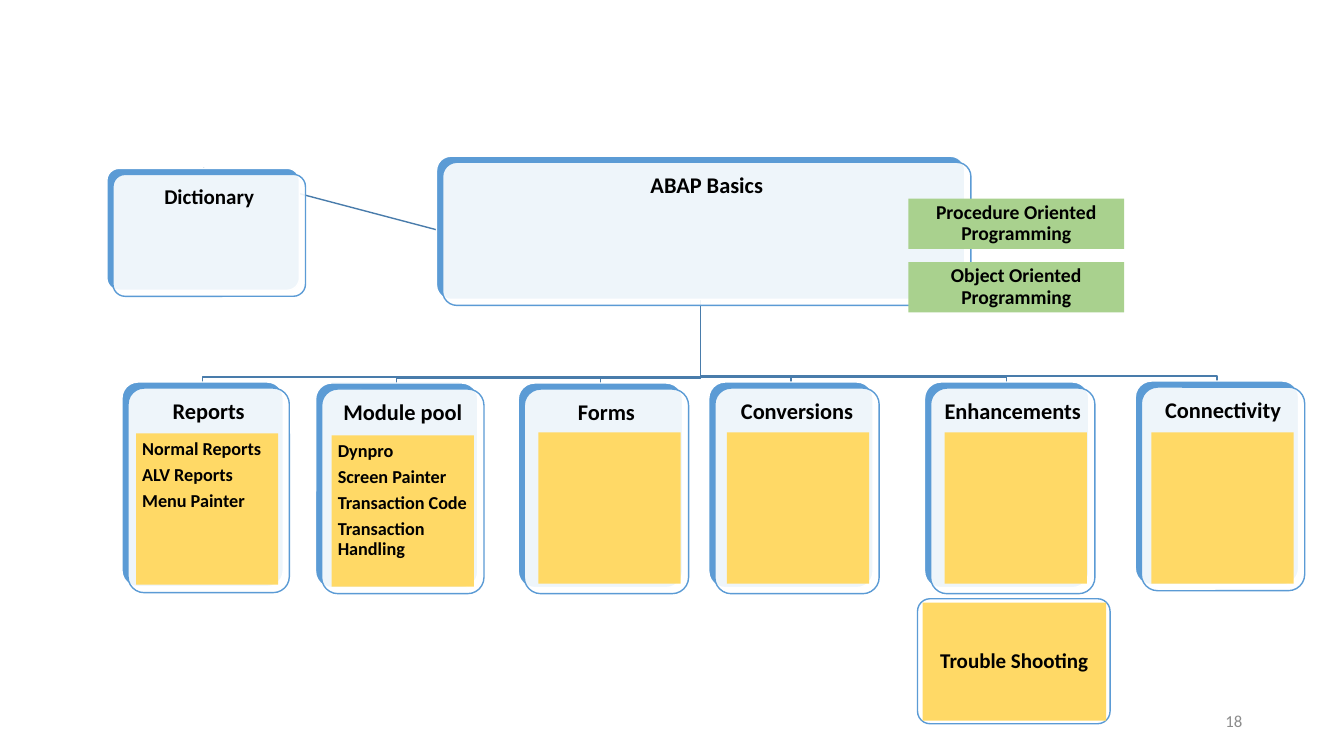
from lxml import etree
from pptx import Presentation
from pptx.dml.color import RGBColor
from pptx.enum.shapes import MSO_CONNECTOR, MSO_SHAPE
from pptx.enum.text import MSO_ANCHOR, PP_ALIGN
from pptx.oxml.ns import qn
from pptx.util import Inches, Pt

RECTANGLE, ROUNDED = MSO_SHAPE.RECTANGLE, MSO_SHAPE.ROUNDED_RECTANGLE
STRAIGHT = MSO_CONNECTOR.STRAIGHT
TOP, MIDDLE = MSO_ANCHOR.TOP, MSO_ANCHOR.MIDDLE
LEFT, CENTER, RIGHT = PP_ALIGN.LEFT, PP_ALIGN.CENTER, PP_ALIGN.RIGHT

BLUE = RGBColor(0x5B, 0x9B, 0xD5)
BRANCH_BLUE = RGBColor(0x49, 0x7C, 0xAB)
YELLOW = RGBColor(0xFF, 0xD9, 0x66)
GREEN = RGBColor(0xA9, 0xD1, 0x8E)
GREY = RGBColor(0x8C, 0x8C, 0x8C)
WHITE = RGBColor(0xFF, 0xFF, 0xFF)
BLACK = RGBColor(0, 0, 0)

FONT = "Calibri"
CELL = Inches(1)  # side of one grid square
LAYER_SHIFT = 0.06
LABEL_INSET = 0.05
BRANCH_DROP = 0.05
PANEL_COLUMNS, PANEL_ROWS = 1.41, 1.5

# Column, row, columns and rows of each card's back layer
BASICS = (4.33, 1.55, 5.24, 1.42)
DICTIONARY = (1.06, 1.67, 1.91, 1.21)
# Name, card, corner of the yellow panel, topics in the panel
AREAS = [
    ("Reports", (1.21, 3.79, 1.6, 2.03), (1.35, 4.3),
     ["Normal Reports", "ALV Reports", "Menu Painter"]),
    ("Module pool", (3.13, 3.8, 1.61, 2.03), (3.29, 4.32),
     ["Dynpro", "Screen Painter", "Transaction Code", "Transaction Handling"]),
    ("Forms", (5.14, 3.8, 1.63, 2.03), (5.34, 4.29), []),
    ("Conversions", (7.03, 3.79, 1.63, 2.04), (7.21, 4.29), []),
    ("Enhancements", (9.17, 3.79, 1.63, 2.04), (9.37, 4.29), []),
    ("Connectivity", (11.26, 3.78, 1.62, 2.02), (11.42, 4.29), []),
]
STYLES = ["Procedure Oriented Programming", "Object Oriented Programming"]


def grid(*cells):
    return [round(cell * CELL) for cell in cells]


def write(shape, lines, size, align=CENTER, anchor=TOP, inset=0.06):
    frame = shape.text_frame
    frame.word_wrap = True
    frame.vertical_anchor = anchor
    frame.margin_left = frame.margin_right = Inches(inset)
    frame.margin_top = frame.margin_bottom = Inches(inset)
    frame.text = "\n".join(lines)
    for paragraph in frame.paragraphs:
        paragraph.alignment = align
        paragraph.line_spacing = 0.9
        paragraph.space_after = Pt(0.35 * size)
        font = paragraph.font
        for run in paragraph.runs:
            font = run.font
            font.name, font.size, font.bold = FONT, Pt(size), True
            font.color.rgb = BLACK


def add_block(slide, area, fill, outline=None, preset=RECTANGLE):
    block = slide.shapes.add_shape(preset, *grid(*area))
    block.shadow.inherit = False
    block.fill.solid()
    block.fill.fore_color.rgb = fill
    if outline is None:
        block.line.fill.background()
    else:
        block.line.color.rgb = outline
        block.line.width = Pt(1)
    if preset == ROUNDED:
        block.adjustments[0] = 0.1
    return block


def add_veil(slide, area):
    """Add a rounded white layer of 90 % opacity with a blue outline."""
    veil = add_block(slide, area, WHITE, BLUE, ROUNDED)
    color = veil.fill._xPr.find(qn("a:solidFill"))[0]
    etree.SubElement(color, qn("a:alpha")).set("val", "90000")


def add_card(slide, name, area, size=16):
    column, row, columns, rows = area
    add_block(slide, area, BLUE, WHITE, ROUNDED)
    column, row = column + LAYER_SHIFT, row + LAYER_SHIFT
    add_veil(slide, (column, row, columns, rows))
    label = slide.shapes.add_textbox(*grid(
        column + LABEL_INSET, row + LABEL_INSET,
        columns - 2 * LABEL_INSET, rows - 2 * LABEL_INSET))
    write(label, [name], size, inset=0.07)


def top_center(area):
    column, row, columns, _ = area
    return column + columns / 2, row


def add_branch(slide, root, card):
    """Draw an elbow line from the root down to the top of a card."""
    end_column, end_row = top_center(card)
    bend_row = end_row - BRANCH_DROP
    builder = slide.shapes.build_freeform(*grid(*root))
    builder.add_line_segments(
        [grid(root[0], bend_row), grid(end_column, bend_row),
         grid(end_column, end_row)], close=False)
    branch = builder.convert_to_shape()
    branch.shadow.inherit = False
    branch.fill.background()
    branch.line.color.rgb = BRANCH_BLUE
    branch.line.width = Pt(1)


def add_link(slide, start, end):
    link = slide.shapes.add_connector(STRAIGHT, *grid(*start, *end))
    link.line.color.rgb = BRANCH_BLUE
    link.line.width = Pt(1)
    etree.SubElement(link._element.spPr, qn("a:effectLst"))


def add_page_number(slide, number):
    box = slide.shapes.add_textbox(*grid(9.42, 6.95, 3, 0.4))
    box.text_frame.word_wrap = True
    box.text_frame.vertical_anchor = MIDDLE
    box.text_frame.text = number
    paragraph = box.text_frame.paragraphs[0]
    paragraph.alignment = RIGHT
    font = paragraph.runs[0].font
    font.name, font.size = FONT, Pt(12)
    font.color.rgb = GREY


def main():
    presentation = Presentation()
    presentation.slide_width, presentation.slide_height = grid(13.33, 7.5)
    slide = presentation.slides.add_slide(presentation.slide_layouts[6])

    add_veil(slide, (9.1, 5.94, 1.91, 1.24))
    trouble_shooting = add_block(slide, (9.15, 5.98, 1.82, 1.17), YELLOW)
    write(trouble_shooting, ["Trouble Shooting"], 15, anchor=MIDDLE)

    root = (top_center(BASICS)[0], BASICS[1] + BASICS[3])
    for _, card, _, _ in reversed(AREAS):
        add_branch(slide, root, card)
    add_link(slide, root, top_center(DICTIONARY))

    add_card(slide, "ABAP Basics", BASICS)
    add_card(slide, "Dictionary", DICTIONARY, size=15)
    for name, card, corner, topics in AREAS:
        add_card(slide, name, card)
        panel = add_block(slide, (*corner, PANEL_COLUMNS, PANEL_ROWS), YELLOW)
        if topics:
            write(panel, topics, 13, align=LEFT)

    for index, style in enumerate(STYLES):
        tag = add_block(slide, (9.01, 1.97 + 0.63 * index, 2.14, 0.5), GREEN)
        write(tag, [style], 14, anchor=MIDDLE)

    add_page_number(slide, "18")
    presentation.save("out.pptx")


if __name__ == "__main__":
    main()
